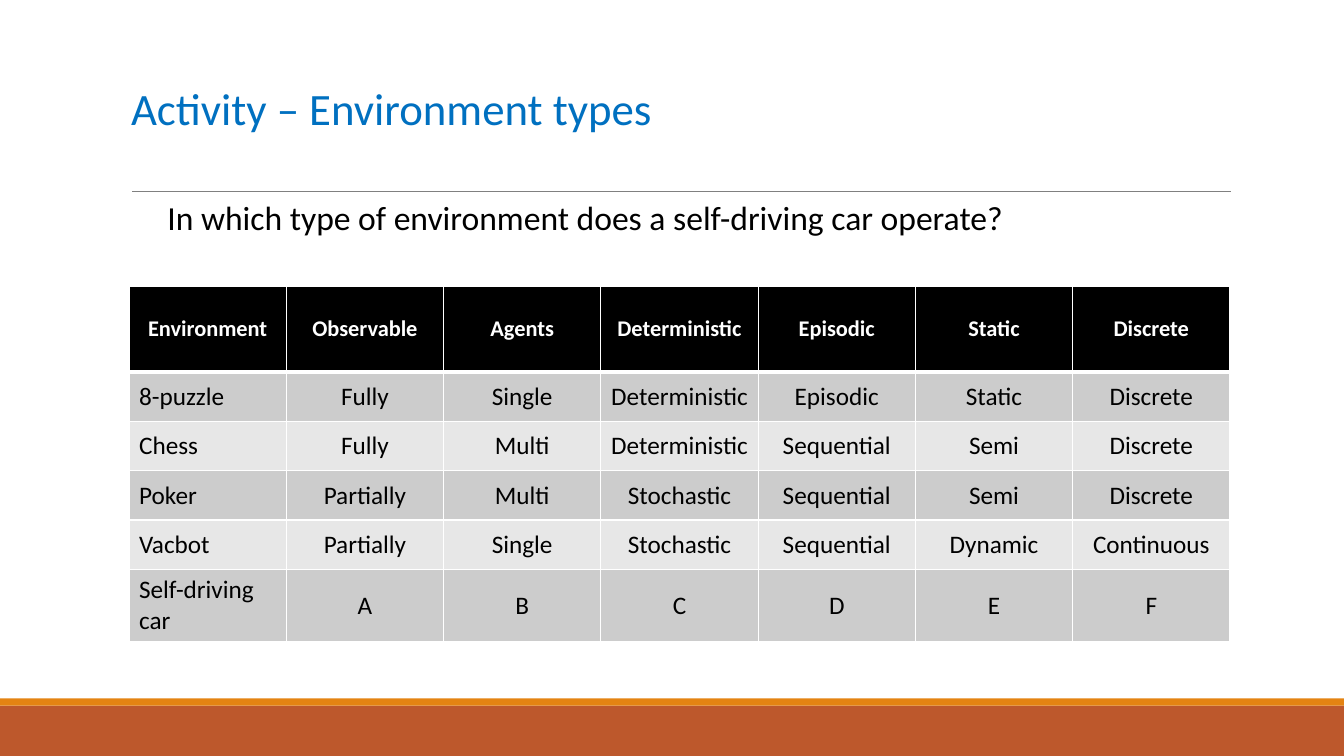
from pptx import Presentation
from pptx.dml.color import RGBColor
from pptx.enum.shapes import MSO_CONNECTOR, MSO_SHAPE
from pptx.enum.text import MSO_ANCHOR, PP_ALIGN
from pptx.oxml.ns import qn
from pptx.util import Inches, Pt
from lxml.etree import SubElement

HUES = {
    "title": "0070C0", "text": "000000", "white": "FFFFFF", "rule": "808080",
    "rust": "BD582C", "orange": "E48312", "dark": "CCCCCC", "light": "E7E7E7",
}
ROWS = [
    ["Environment", "Observable", "Agents", "Deterministic", "Episodic", "Static", "Discrete"],
    ["8-puzzle", "Fully", "Single", "Deterministic", "Episodic", "Static", "Discrete"],
    ["Chess", "Fully", "Multi", "Deterministic", "Sequential", "Semi", "Discrete"],
    ["Poker", "Partially", "Multi", "Stochastic", "Sequential", "Semi", "Discrete"],
    ["Vacbot", "Partially", "Single", "Stochastic", "Sequential", "Dynamic", "Continuous"],
    ["Self-driving car", "A", "B", "C", "D", "E", "F"],
]
HEIGHTS = [0.85] + [0.49] * 4 + [0.72]
COL = 1.56


def style(frame, size, hue, align=PP_ALIGN.LEFT, bold=False):
    para = frame.paragraphs[0]
    para.alignment = align
    font = para.runs[0].font
    font.name = "Calibri"
    font.size = Pt(size)
    font.bold = bold
    font.color.rgb = RGBColor.from_string(HUES[hue])


def edge(cell, width):
    props = cell._tc.get_or_add_tcPr()
    for side, points in (("L", 1), ("R", 1), ("T", width[0]), ("B", width[1])):
        line = SubElement(props, qn(f"a:ln{side}"), w=str(Pt(points)))
        fill = SubElement(line, qn("a:solidFill"))
        SubElement(fill, qn("a:srgbClr"), val=HUES["white"])


deck = Presentation()
deck.slide_width = Inches(13.33)
deck.slide_height = Inches(7.5)
slide = deck.slides.add_slide(deck.slide_layouts[5])
shapes = slide.shapes

for top, height, hue in ((7, 0.5, "rust"), (6.93, 0.07, "orange")):
    band = shapes.add_shape(MSO_SHAPE.RECTANGLE, 0, Inches(top), deck.slide_width, Inches(height))
    band.shadow.inherit = False
    band.fill.solid()
    band.fill.fore_color.rgb = RGBColor.from_string(HUES[hue])
    band.line.fill.background()

rule = shapes.add_connector(
    MSO_CONNECTOR.STRAIGHT, Inches(1.31), Inches(1.9), Inches(12.21), Inches(1.9))
rule.line.color.rgb = RGBColor.from_string(HUES["rule"])
rule.line.width = Pt(0.5)
SubElement(rule._element.spPr, qn("a:effectLst"))

title = shapes.title
title.left, title.top, title.width, title.height = map(Inches, (1.2, 0.31, 11, 1.59))
title.text_frame.text = "Activity – Environment types"
title.text_frame.vertical_anchor = MSO_ANCHOR.MIDDLE
title.text_frame.paragraphs[0].line_spacing = 0.85
style(title.text_frame, 32, "title")

ask = shapes.add_textbox(*map(Inches, (1.38, 1.9, 11, 0.38))).text_frame
ask.word_wrap = True
ask.margin_left, ask.margin_right = Inches(0.28), 0
ask.text = "In which type of environment does a self-driving car operate?"
style(ask, 24, "text")

grid = shapes.add_table(
    len(ROWS), len(ROWS[0]), Inches(1.28), Inches(2.84),
    Inches(COL * len(ROWS[0])), Inches(sum(HEIGHTS))).table
for col in grid.columns:
    col.width = Inches(COL)
for r, names in enumerate(ROWS):
    grid.rows[r].height = Inches(HEIGHTS[r])
    head = r == 0
    back = "text" if head else "dark" if r % 2 else "light"
    for c, name in enumerate(names):
        cell = grid.cell(r, c)
        edge(cell, (3 if r == 1 else 1, 3 if head else 1))
        cell.fill.solid()
        cell.fill.fore_color.rgb = RGBColor.from_string(HUES[back])
        cell.vertical_anchor = MSO_ANCHOR.MIDDLE
        cell.text_frame.text = name
        align = PP_ALIGN.CENTER if head or c else PP_ALIGN.LEFT
        style(cell.text_frame, 16 if head else 18, "white" if head else "text", align, head)

deck.save("out.pptx")
